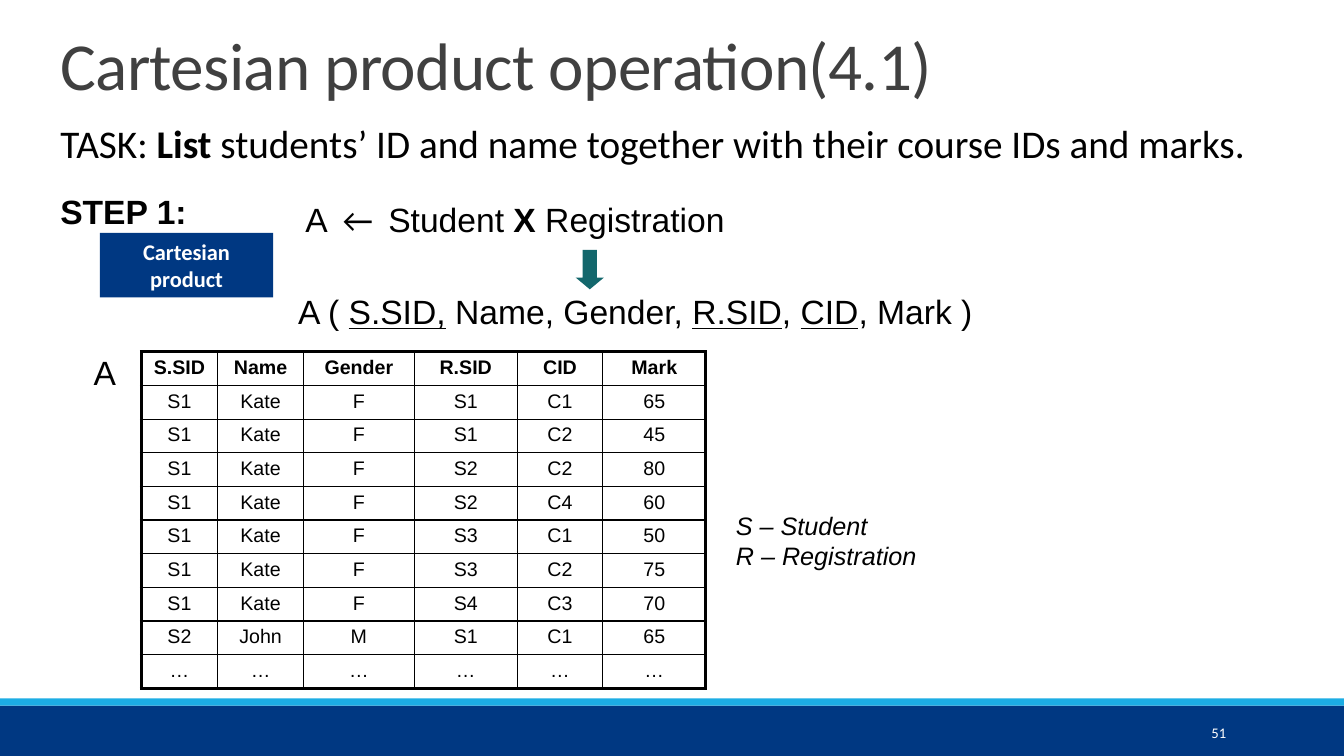
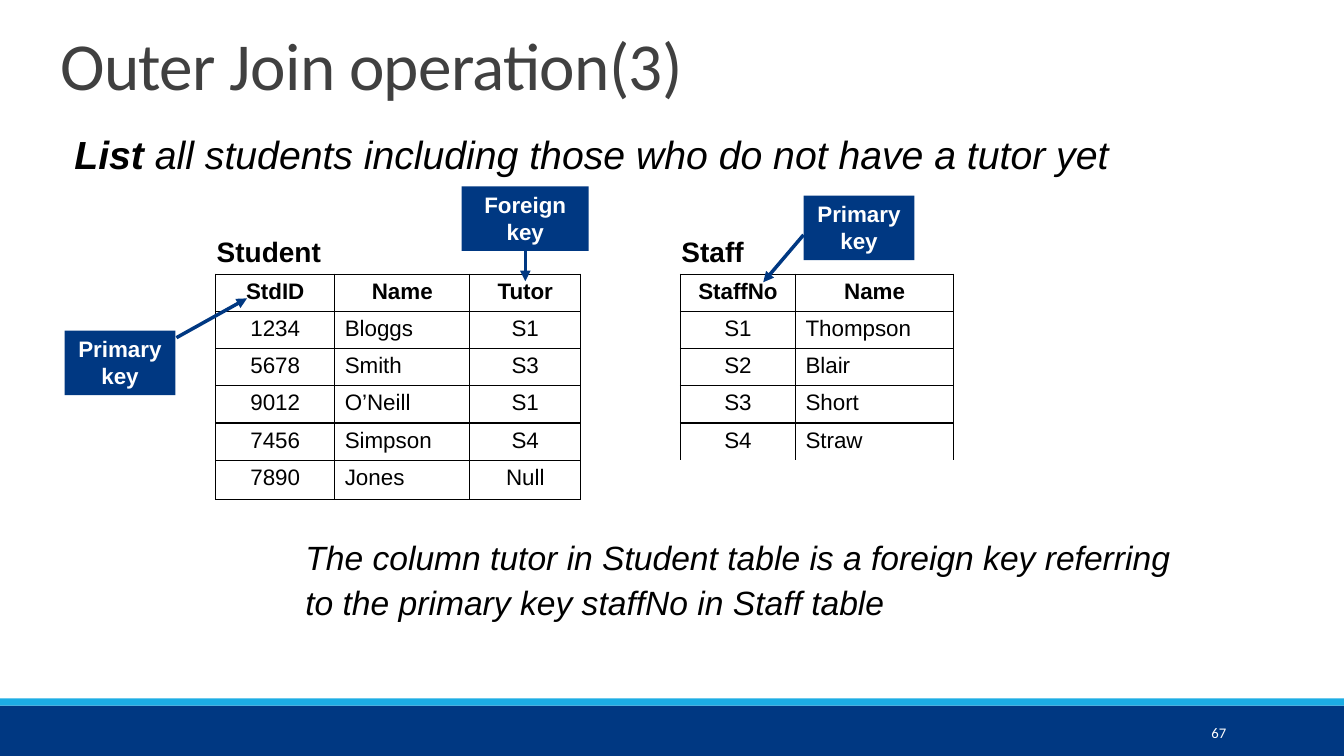
from lxml.etree import SubElement
from pptx import Presentation
from pptx.dml.color import RGBColor
from pptx.enum.shapes import MSO_CONNECTOR as Connector, MSO_SHAPE as Shape
from pptx.enum.text import MSO_ANCHOR as Anchor, MSO_AUTO_SIZE as AutoSize, PP_ALIGN as Align
from pptx.oxml.ns import qn
from pptx.util import Emu, Pt

PX = 9144
WIDTH, HEIGHT = 1333, 750
NAVY, SKY, TEAL = "003882", "1CADE4", "13676C"
BLACK, GREY, WHITE = "000000", "404040", "FFFFFF"
HEADING_FONT, BODY_FONT = "Calibri", "Arial"
TITLE_BOX = (50, 30, 1010, 125)
BOLD, UNDERLINE = {"bold": True}, {"underline": True}


def px(*lengths):
    """Turn px lengths into EMU."""
    return [Emu(length * PX) for length in lengths]


def rgb(color):
    """Turn a hex string into a colour."""
    return RGBColor.from_string(color)


def style(font, size, color=BLACK, name=BODY_FONT, bold=False, italic=False):
    """Set the font of a paragraph."""
    font.size, font.name, font.bold, font.italic = Pt(size), name, bold, italic
    font.color.rgb = rgb(color)


def write(paragraph, runs, **look):
    """Fill a paragraph with a string or with (text, overrides) pairs."""
    style(paragraph.font, **look)
    for text, overrides in [(runs, {})] if isinstance(runs, str) else runs:
        run = paragraph.add_run()
        run.text = text
        for key, value in overrides.items():
            if key == "spacing":
                run._r.get_or_add_rPr().set("spc", str(value))
            else:
                setattr(run.font, key, value)


def add_text(slide, box, *lines, spacing=None, align=None, anchor=Anchor.TOP, **look):
    """Place a text box with one paragraph for each line."""
    frame = slide.shapes.add_textbox(*px(*box)).text_frame
    frame.word_wrap, frame.vertical_anchor = True, anchor
    for index, runs in enumerate(lines):
        paragraph = frame.add_paragraph() if index else frame.paragraphs[0]
        paragraph.alignment, paragraph.line_spacing = align, spacing
        write(paragraph, runs, **look)


def add_block(slide, box, color, kind=Shape.RECTANGLE):
    """Place a plain filled shape."""
    block = slide.shapes.add_shape(kind, *px(*box))
    block.shadow.inherit = False
    block.fill.solid()
    block.fill.fore_color.rgb = rgb(color)
    block.line.fill.background()
    return block


def add_callout(slide, box, text, name=BODY_FONT):
    """Place a navy label with centred bold text."""
    frame = add_block(slide, box, NAVY).text_frame
    frame.word_wrap, frame.vertical_anchor = True, Anchor.TOP
    frame.paragraphs[0].alignment = Align.CENTER
    write(frame.paragraphs[0], text, size=16, color=WHITE, name=name, bold=True)


def add_arrow(slide, start, end):
    """Draw a navy arrow from start to end."""
    arrow = slide.shapes.add_connector(Connector.STRAIGHT, *px(*start, *end))
    arrow.line.color.rgb, arrow.line.width = rgb(NAVY), Pt(2.5)
    SubElement(arrow.line._get_or_add_ln(), qn("a:tailEnd"), type="triangle")
    SubElement(arrow._element.spPr, qn("a:effectLst"))


def set_borders(cell, widths):
    """Draw the cell's left, right, top and bottom borders, widths in points."""
    properties = cell._tc.get_or_add_tcPr()
    for index, (side, width) in enumerate(zip(("lnL", "lnR", "lnT", "lnB"), widths)):
        line = properties.makeelement(qn(f"a:{side}"), {"w": str(Pt(width))})
        properties.insert(index, line)
        if width:
            fill = SubElement(line, qn("a:solidFill"))
            SubElement(fill, qn("a:srgbClr"), val=BLACK)
        else:
            SubElement(line, qn("a:noFill"))


def border_widths(rows, r, c, outer):
    """Give a cell's border widths: none between two blanks or along a blank's ends."""
    def blank(row, column):
        """Tell whether a cell of the grid is empty or outside it."""
        inside = 0 <= row < len(rows) and 0 <= column < len(rows[0])
        return not inside or not rows[row][column]

    def width(row, column, vertical):
        """Give the border between the cell and one neighbour."""
        inside = 0 <= row < len(rows) and 0 <= column < len(rows[0])
        if blank(r, c):
            return 1 if vertical and not blank(row, column) else 0
        if inside:
            return 1 if vertical or not blank(row, column) else 0
        return outer

    return (width(r, c - 1, True), width(r, c + 1, True),
            width(r - 1, c, False), width(r + 1, c, False))


def add_grid(slide, corner, columns, heights, rows, size, outer=1, left_columns=()):
    """Place a ruled table with a bold header row, and return it."""
    box = (*corner, sum(columns), sum(heights))
    table = slide.shapes.add_table(len(rows), len(columns), *px(*box)).table
    table.horz_banding = table.first_row = False
    for column, width in zip(table.columns, px(*columns)):
        column.width = width
    for row, height in zip(table.rows, px(*heights)):
        row.height = height
    for r, values in enumerate(rows):
        for c, value in enumerate(values):
            cell = table.cell(r, c)
            cell.fill.background()
            set_borders(cell, border_widths(rows, r, c, outer))
            if value:
                paragraph = cell.text_frame.paragraphs[0]
                paragraph.alignment = Align.LEFT if r and c in left_columns else Align.CENTER
                write(paragraph, value, size=size, bold=r == 0)
            else:
                cell.margin_top = cell.margin_bottom = 0
    return table


def start_slide(deck, heading, number):
    """Add a slide with its title, bottom bands and page number."""
    slide = deck.slides.add_slide(deck.slide_layouts[5])
    add_block(slide, (0, 700, WIDTH, 50), NAVY)
    add_block(slide, (0, 693, WIDTH, 7), SKY)
    add_text(slide, (1083, 707, 143, 40), str(number), align=Align.RIGHT,
             anchor=Anchor.MIDDLE, size=10.5, color=WHITE, name=HEADING_FONT)
    title = slide.shapes.title
    title.left, title.top, title.width, title.height = px(*TITLE_BOX)
    frame = title.text_frame
    frame.auto_size, frame.vertical_anchor = AutoSize.NONE, Anchor.TOP
    paragraph = frame.paragraphs[0]
    paragraph.alignment, paragraph.line_spacing = Align.LEFT, 0.85
    write(paragraph, [(heading, {"spacing": -50})], size=48, color=GREY, name=HEADING_FONT)
    return slide


def add_step(slide, left, top):
    """Place the first step: its label, formula and resulting relation."""
    add_text(slide, (left, top, 159, 50), "STEP 1:", size=24, bold=True)
    formula = [("A ", {"spacing": 270}), ("← ", {"name": HEADING_FONT, "spacing": 270}),
               ("Student ", {}), ("X", BOLD), (" Registration", {})]
    add_text(slide, (left + 243, top + 8, 606, 50), formula, size=24)
    add_callout(slide, (left + 49, top + 47, 172, 64), "Cartesian product", HEADING_FONT)
    relation = [("A ( ", {}), ("S.SID,", UNDERLINE), (" Name, Gender, ", {}),
                ("R.SID", UNDERLINE), (", ", {}), ("CID", UNDERLINE), (", Mark )", {})]
    add_text(slide, (left + 236, top + 100, 836, 50), relation, size=24)
    down = add_block(slide, (left + 521, top + 64, 28, 39), TEAL, Shape.DOWN_ARROW)
    down.adjustments[1] = 0.415


def add_product(slide, left, top):
    """Place relation A with its name and the key to its prefixes."""
    records = ["S.SID Name Gender R.SID CID Mark", "S1 Kate F S1 C1 65", "S1 Kate F S1 C2 45",
               "S1 Kate F S2 C2 80", "S1 Kate F S2 C4 60", "S1 Kate F S3 C1 50",
               "S1 Kate F S3 C2 75", "S1 Kate F S4 C3 70", "S2 John M S1 C1 65",
               "… … … … … …"]
    add_grid(slide, (left, top), (76, 85, 110, 102, 85, 102), [33] * len(records),
             [record.split() for record in records], size=14, outer=2.25)
    add_text(slide, (left - 57, top - 5, 42, 50), "A", size=24)
    add_text(slide, (left + 580, top + 152, 220, 70), "S – Student", "R – Registration",
             size=18, italic=True)


def add_relations(slide, left, top):
    """Place the two named relations side by side in one table."""
    for name, offset in [("Student", -9), ("Staff", 452)]:
        add_text(slide, (left + offset, top - 44, 125, 44), name, size=20, bold=True)
    records = ["StdID,Name,Tutor,,StaffNo,Name", "1234,Bloggs,S1,,S1,Thompson",
               "5678,Smith,S3,,S2,Blair", "9012,O’Neill,S1,,S3,Short",
               "7456,Simpson,S4,,S4,Straw", "7890,Jones,Null,,,"]
    table = add_grid(slide, (left, top), (118, 134, 110, 99, 114, 157),
                     (37, 37, 36, 37, 37, 39), [record.split(",") for record in records],
                     size=16, left_columns=(1, 5))
    table.cell(5, 3).merge(table.cell(5, 5))


def build_cartesian(deck):
    """Build the Cartesian product slide."""
    slide = start_slide(deck, "Cartesian product operation(4.1)", 51)
    task = [("TASK: ", {}), ("List ", BOLD),
            ("students’ ID and name together with their course IDs and marks.", {})]
    add_text(slide, (50, 113, 1216, 57), task, size=28, name=HEADING_FONT)
    add_step(slide, 50, 184)
    add_product(slide, 140, 349)


def build_outer_join(deck):
    """Build the outer join slide."""
    slide = start_slide(deck, "Outer Join operation(3)", 67)
    task = [("List", BOLD), (" all students including those who do not have a tutor yet", {})]
    add_text(slide, (64, 120, 1137, 58), task, spacing=1.1, size=28, italic=True)
    add_relations(slide, 214, 272)
    for box, text, start, end in [
            ((64, 328, 110, 64), "Primary key", (175, 335), (245, 296)),
            ((458, 185, 126, 64), "Foreign key", (521, 248), (521, 279)),
            ((797, 194, 110, 64), "Primary key", (797, 233), (757, 280))]:
        add_callout(slide, box, text)
        add_arrow(slide, start, end)
    remark = ("The column tutor in Student table is a foreign key referring "
              "to the primary key staffNo in Staff table")
    add_text(slide, (293, 524, 909, 96), remark, spacing=1.1, size=24, italic=True)


def main():
    """Build and save the deck."""
    deck = Presentation()
    deck.slide_width, deck.slide_height = px(WIDTH, HEIGHT)
    build_cartesian(deck)
    build_outer_join(deck)
    deck.save("out.pptx")


if __name__ == "__main__":
    main()
